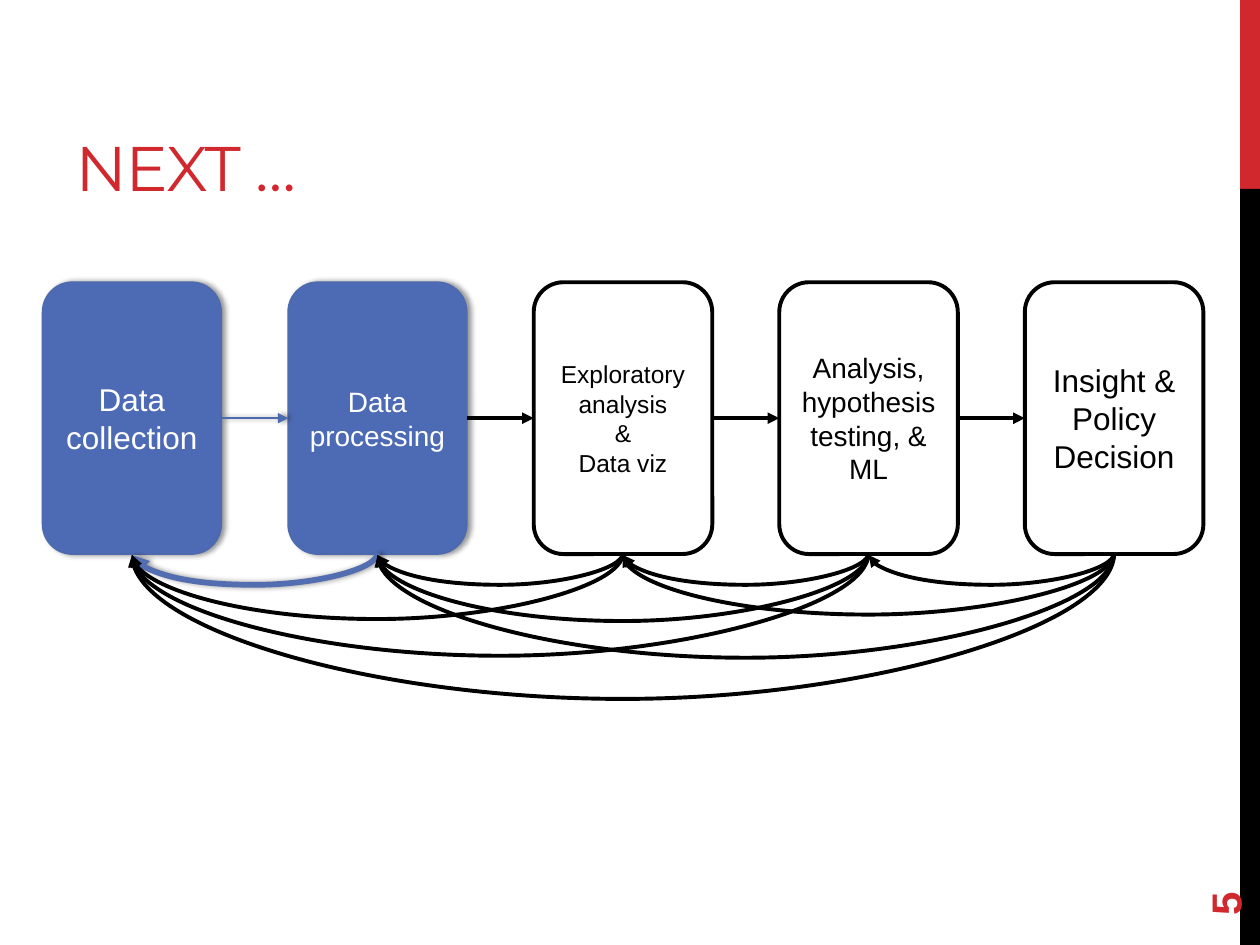
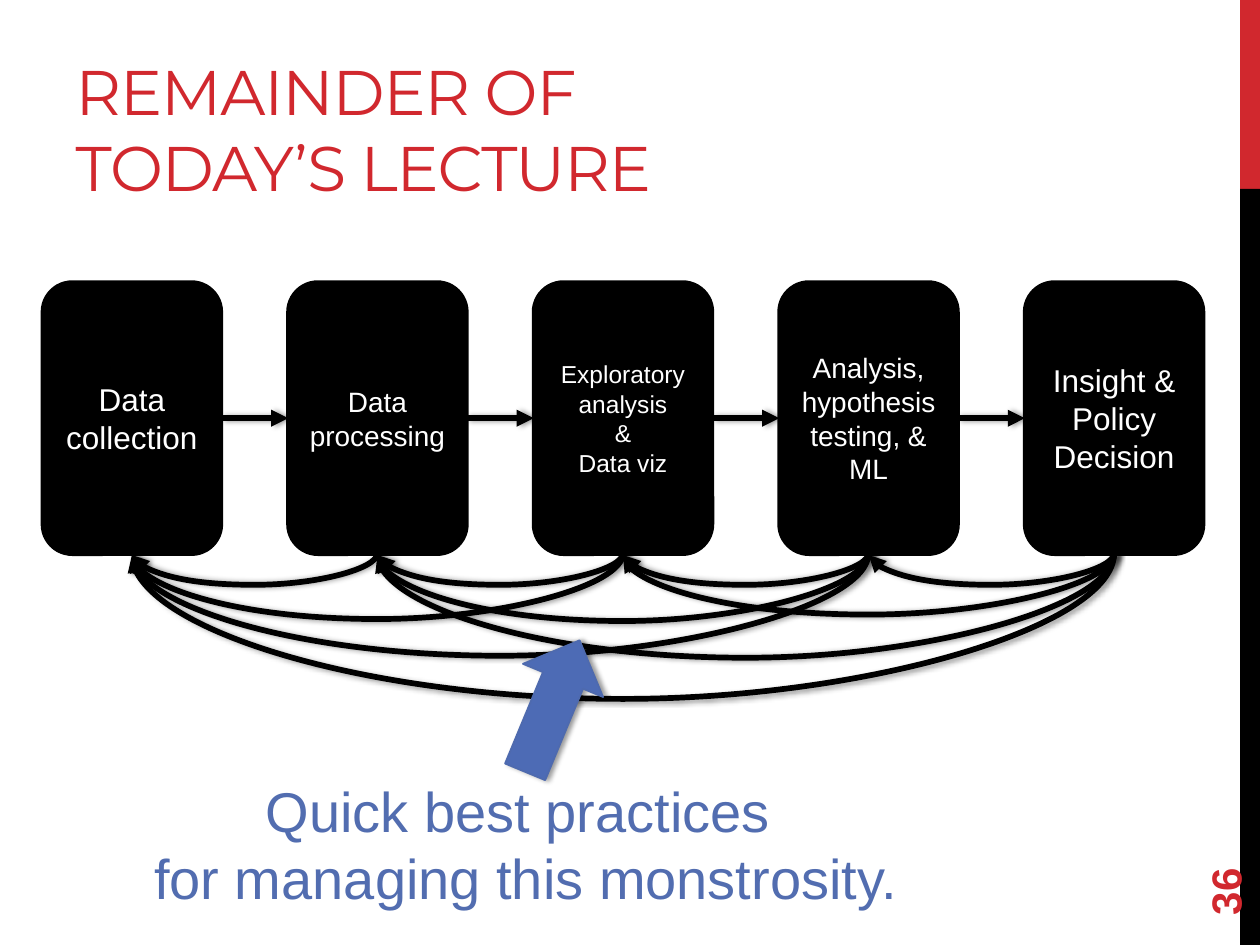
"""Builds two slides on the data science pipeline and its feedback loops."""
from lxml.etree import SubElement
from pptx import Presentation
from pptx.dml.color import RGBColor
from pptx.enum.shapes import MSO_CONNECTOR, MSO_SHAPE
from pptx.enum.text import MSO_ANCHOR, PP_ALIGN
from pptx.oxml.ns import qn
from pptx.util import Cm, Pt

RED = RGBColor(0xD1, 0x28, 0x2E)
BLACK = RGBColor(0x00, 0x00, 0x00)
WHITE = RGBColor(0xFF, 0xFF, 0xFF)
BLUE = RGBColor(0x4D, 0x6B, 0xB5)
BLUE_EDGE = RGBColor(0x4E, 0x6A, 0xAE)
BLUE_LOOP = RGBColor(0x52, 0x6D, 0xB0)

DONE = {"fill": BLUE, "edge": BLUE_EDGE, "weight": 1, "ink": WHITE, "shadow": True}
TODO = {"fill": WHITE, "edge": BLACK, "weight": 2.25, "ink": BLACK, "shadow": False}
SOLID = {"fill": BLACK, "edge": BLACK, "weight": 2.25, "ink": WHITE, "shadow": False}

THIN_BLUE = {"color": BLUE_EDGE, "weight": 1, "shadow": True}
BOLD_BLUE = {"color": BLUE_LOOP, "weight": 3.25, "shadow": True}
PLAIN_BLACK = {"color": BLACK, "weight": 2.25, "shadow": False}
BOLD_BLACK = {"color": BLACK, "weight": 3.25, "shadow": True}

STAGES = [
    (["Data collection"], 18),
    (["Data processing"], 16),
    (["Exploratory analysis", "&", "Data viz"], 14),
    (["Analysis, hypothesis testing, & ML"], 16),
    (["Insight & Policy Decision"], 18),
]
STAGE_LEFT, STAGE_TOP, STAGE_PITCH = 0.86, 5.69, 4.95
STAGE_WIDTH, STAGE_HEIGHT = 3.6, 5.48
NEIGHBOUR_DEPTH = 0.64
LOOP_DEPTHS = {
    (2, 0): 1.33, (3, 1): 1.37, (4, 2): 1.24,
    (3, 0): 2.07, (4, 1): 2.11, (4, 0): 2.94,
}
LOOP_DROP = 0.04


class Deck:
    """Holds the shared style and the current slide."""

    def __init__(self):
        self.prs = Presentation()
        self.prs.slide_width, self.prs.slide_height = Cm(25.4), Cm(19.05)
        self.slide = None

    def start(self, heading, number):
        self.slide = self.prs.slides.add_slide(self.prs.slide_layouts[5])
        title = self.slide.shapes.title
        self.place(title, 1.27, 0.43, 16.08, 3.81)
        self.fill_text(title, [heading], 36, RED, PP_ALIGN.LEFT, MSO_ANCHOR.BOTTOM,
                       name="Montserrat")
        title.element.find(".//" + qn("a:rPr")).set("spc", "-60")
        page = self.text([str(number)], (22.86, 16.36, 3.66, 1.02), 24, RED,
                         PP_ALIGN.LEFT, MSO_ANCHOR.MIDDLE, bold=True)
        page.rotation = 270

    def place(self, shape, *box):
        for side, length in zip(("left", "top", "width", "height"), box):
            setattr(shape, side, Cm(length))

    def fill_text(self, shape, lines, size, color, align=PP_ALIGN.CENTER,
                  anchor=MSO_ANCHOR.MIDDLE, name="Arial", bold=False):
        frame = shape.text_frame
        frame.word_wrap = True
        frame.vertical_anchor = anchor
        font_values = {"name": name, "size": Pt(size), "bold": bold}
        for index, line in enumerate(lines):
            paragraph = frame.paragraphs[0] if index == 0 else frame.add_paragraph()
            paragraph.alignment = align
            run = paragraph.add_run()
            run.text = line
            for key, value in font_values.items():
                setattr(run.font, key, value)
            run.font.color.rgb = color

    def text(self, lines, box, size, color, align=PP_ALIGN.CENTER,
             anchor=MSO_ANCHOR.TOP, bold=False):
        shape = self.slide.shapes.add_textbox(*map(Cm, box))
        self.fill_text(shape, lines, size, color, align, anchor, bold=bold)
        return shape

    def cast_shadow(self, effects):
        outer = SubElement(effects, qn("a:outerShdw"), blurRad="39000", dist="23000",
                           dir="0", rotWithShape="0")
        tint = SubElement(outer, qn("a:srgbClr"), val="000000")
        SubElement(tint, qn("a:alpha"), val="40000")

    def shape(self, preset, box, look):
        shape = self.slide.shapes.add_shape(preset, *map(Cm, box))
        shape.fill.solid()
        shape.fill.fore_color.rgb = look["fill"]
        shape.line.color.rgb = look["edge"]
        shape.line.width = Pt(look["weight"])
        shape.shadow.inherit = False
        if look["shadow"]:
            self.cast_shadow(shape.element.spPr.find(qn("a:effectLst")))
        return shape

    def band(self, top, height, color):
        band = self.shape(MSO_SHAPE.RECTANGLE, (25, top, 0.4, height), {**SOLID, "fill": color})
        band.line.fill.background()
        self.prs.slide_master.element.cSld.spTree.append(band.element)

    def arrow(self, kind, source, source_side, target, target_side, pen):
        arrow = self.slide.shapes.add_connector(kind, 0, 0, 0, 0)
        arrow.begin_connect(source, source_side)
        arrow.end_connect(target, target_side)
        arrow.line.color.rgb = pen["color"]
        arrow.line.width = Pt(pen["weight"])
        properties = arrow.element.spPr
        SubElement(properties.find(qn("a:ln")), qn("a:tailEnd"), type="triangle")
        effects = SubElement(properties, qn("a:effectLst"))
        if pen["shadow"]:
            self.cast_shadow(effects)
        return arrow

    def loop(self, boxes, source, target, pen):
        loop = self.arrow(MSO_CONNECTOR.CURVE, boxes[source], 2, boxes[target], 2, pen)
        depth = LOOP_DEPTHS.get((source, target), NEIGHBOUR_DEPTH)
        span = (source - target) * STAGE_PITCH
        middle = STAGE_LEFT + STAGE_WIDTH / 2 + (source + target) / 2 * STAGE_PITCH
        bottom = STAGE_TOP + STAGE_HEIGHT
        properties = loop.element.spPr
        frame = properties.find(qn("a:xfrm"))
        frame.attrib.clear()
        frame.set("rot", "5400000")
        self.place(loop, middle - LOOP_DROP / 2, bottom - span / 2, LOOP_DROP, span)
        guides = properties.find(qn("a:prstGeom")).find(qn("a:avLst"))
        SubElement(guides, qn("a:gd"), name="adj1", fmla=f"val {round(depth / LOOP_DROP * 100000)}")

    def pipeline(self, looks, step_pens, loop_pens):
        boxes = []
        for index, ((lines, size), look) in enumerate(zip(STAGES, looks)):
            left = STAGE_LEFT + index * STAGE_PITCH
            box = self.shape(MSO_SHAPE.ROUNDED_RECTANGLE,
                             (left, STAGE_TOP, STAGE_WIDTH, STAGE_HEIGHT), look)
            self.fill_text(box, lines, size, look["ink"])
            boxes.append(box)
            if index:
                self.arrow(MSO_CONNECTOR.STRAIGHT, boxes[index - 1], 3, box, 1,
                           step_pens[index - 1])
            for target in reversed(range(index)):
                self.loop(boxes, index, target, loop_pens[index - 1])


def main():
    deck = Deck()

    deck.start("NEXT …", 5)
    deck.band(0, 3.81, RED)
    deck.band(3.81, 15.24, BLACK)
    deck.pipeline([DONE] * 2 + [TODO] * 3,
                  [THIN_BLUE] + [PLAIN_BLACK] * 3,
                  [BOLD_BLUE] + [PLAIN_BLACK] * 3)

    deck.start("REMAINDER OF TODAY’S LECTURE", 36)
    deck.pipeline([SOLID] * 5, [BOLD_BLACK] * 4, [BOLD_BLACK] * 4)
    deck.text(["Quick best practices ", "for managing this monstrosity."],
              (1.32, 15.52, 18.57, 3), 32, BLUE_LOOP)
    pointer = deck.shape(MSO_SHAPE.UP_ARROW, (10.26, 12.8, 1.75, 2.87), DONE)
    pointer.rotation = 22.5

    deck.prs.save("out.pptx")


if __name__ == "__main__":
    main()
